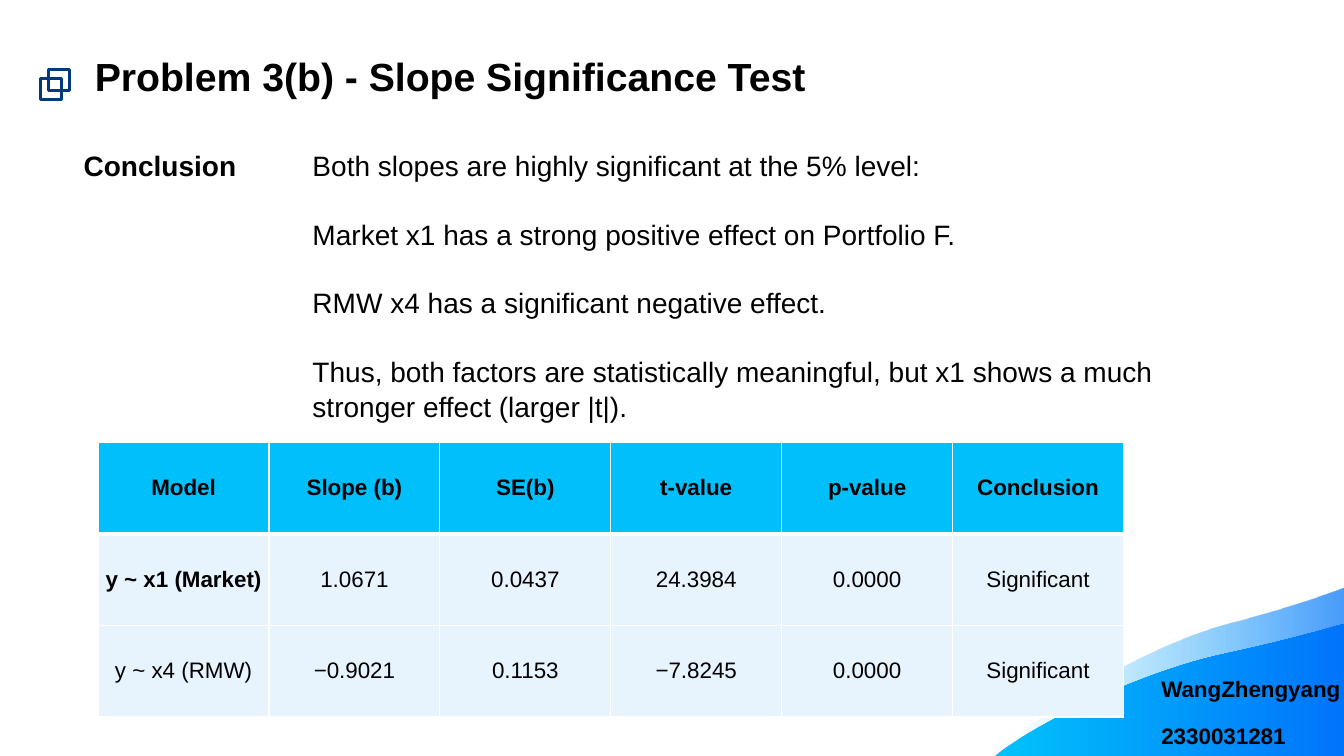
from dataclasses import dataclass

from lxml.etree import SubElement
from pptx import Presentation
from pptx.dml.color import RGBColor
from pptx.enum.shapes import MSO_SHAPE
from pptx.enum.text import MSO_ANCHOR, MSO_AUTO_SIZE, PP_ALIGN
from pptx.oxml.ns import qn
from pptx.util import Inches, Pt


@dataclass(frozen=True)
class Theme:
    font: str = "Arial"
    ink: str = "000000"
    white: str = "FFFFFF"
    navy: str = "003A7E"
    cyan: str = "01BFFB"
    blue: str = "0174FB"
    pale: str = "E7F4FE"
    head: int = 28
    body: int = 20
    small: int = 16


def curve(start, *arcs, steps=24):
    """Return points along joined cubic arcs, each given as three points."""
    points = [start]
    for b, c, d in arcs:
        a = points[-1]
        for n in range(1, steps + 1):
            t = n / steps
            u = 1 - t
            points.append(tuple(
                u**3 * p + 3 * u * u * t * q + 3 * u * t * t * r + t**3 * s
                for p, q, r, s in zip(a, b, c, d)))
    return points


class Page:
    """Draws on one slide; lengths are percent of its width and height."""

    def __init__(self, deck, theme):
        self.theme = theme
        self.wide, self.high = deck.slide_width, deck.slide_height
        self.slide = deck.slides.add_slide(deck.slide_layouts[1])
        self.shapes = self.slide.shapes

    def box(self, x, y, w, h):
        return (round(x * self.wide / 100), round(y * self.high / 100),
                round(w * self.wide / 100), round(h * self.high / 100))

    def add_run(self, para, text, size, bold=False):
        run = para.add_run()
        run.text = text
        font = run.font
        font.name, font.size, font.bold = self.theme.font, Pt(size), bold
        font.color.rgb = RGBColor.from_string(self.theme.ink)

    def fill(self, frame, lines, size, bold=False, gap=0, lead=1.0):
        frame.word_wrap = True
        frame.auto_size = MSO_AUTO_SIZE.NONE
        for i, line in enumerate(lines):
            para = frame.add_paragraph() if i else frame.paragraphs[0]
            para.alignment = PP_ALIGN.LEFT
            para.line_spacing = lead
            para.space_before = Pt(gap if i else 0)
            self.add_run(para, line, size, bold)

    def place(self, holder, area):
        holder.left, holder.top, holder.width, holder.height = self.box(*area)

    def title(self, text, area):
        holder = self.shapes.title
        self.place(holder, area)
        self.fill(holder.text_frame, [text], self.theme.head, bold=True)
        holder.text_frame.vertical_anchor = MSO_ANCHOR.BOTTOM

    def list(self, lines, area):
        holder = self.slide.placeholders[1]
        self.place(holder, area)
        frame = holder.text_frame
        self.fill(frame, lines, self.theme.body, gap=24, lead=1.04)
        for para in frame.paragraphs:
            props = para._p.get_or_add_pPr()
            props.set("marL", "0")
            props.set("indent", "0")
            SubElement(props, qn("a:buNone"))

    def text(self, lines, area, size, **look):
        frame = self.shapes.add_textbox(*self.box(*area)).text_frame
        self.fill(frame, lines, size, bold=True, **look)

    def square(self, x, y, side):
        left, top, _, _ = self.box(x, y, 0, 0)
        shape = self.shapes.add_shape(
            MSO_SHAPE.RECTANGLE, left, top, Inches(side), Inches(side))
        shape.shadow.inherit = False
        shape.fill.background()
        shape.line.color.rgb = RGBColor.from_string(self.theme.navy)
        shape.line.width = Pt(2.25)

    def wave(self, points, alphas):
        """Fill the area between a curve and the lower right corner."""
        dots = [self.box(x, y, 0, 0)[:2] for x, y in points]
        outline = self.shapes.build_freeform(self.wide, self.high)
        outline.add_line_segments(dots, close=True)
        shape = outline.convert_to_shape()
        shape.shadow.inherit = False
        shape.line.fill.background()
        shape.fill.gradient()
        shape.fill.gradient_angle = 0
        tones = (self.theme.cyan, self.theme.blue)
        for stop, tone, spot in zip(
                shape.fill.gradient_stops, tones, (0.04, 1)):
            stop.position = spot
            stop.color.rgb = RGBColor.from_string(tone)
        for node, alpha in zip(shape._element.iter(qn("a:srgbClr")), alphas):
            if alpha < 100:
                SubElement(node, qn("a:alpha"), val=str(alpha * 1000))

    def edge(self, cell, widths):
        props = cell._tc.get_or_add_tcPr()
        for side, width in zip("LRTB", widths):
            line = SubElement(props, qn(f"a:ln{side}"), w=str(Pt(width)))
            paint = SubElement(line, qn("a:solidFill"))
            SubElement(paint, qn("a:srgbClr"), val=self.theme.white)

    def table(self, rows, area, strong):
        """Draw rows under a header; strong holds bold (row, column) pairs."""
        table = self.shapes.add_table(
            len(rows), len(rows[0]), *self.box(*area)).table
        for r, row in enumerate(rows):
            for c, text in enumerate(row):
                cell = table.cell(r, c)
                self.edge(cell, (1, 1, 3 if r == 1 else 1, 1 if r else 3))
                cell.fill.solid()
                tone = self.theme.pale if r else self.theme.cyan
                cell.fill.fore_color.rgb = RGBColor.from_string(tone)
                cell.vertical_anchor = MSO_ANCHOR.MIDDLE
                cell.margin_left = cell.margin_right = 0
                cell.margin_top = cell.margin_bottom = 0
                para = cell.text_frame.paragraphs[0]
                para.alignment = PP_ALIGN.CENTER
                bold = r == 0 or (r, c) in strong
                self.add_run(para, text, self.theme.small, bold)


def main():
    deck = Presentation()
    deck.slide_width, deck.slide_height = Inches(13.33), Inches(7.5)
    theme = Theme()
    page = Page(deck, theme)

    page.wave(curve((100, 77.73),
                    ((97.67, 79.33), (94.82, 80.93), (91.37, 82.53)),
                    ((84.17, 86), (75.99, 96.13), (74.04, 100))), (0, 72))
    page.wave(curve((100, 82.53),
                    ((97.67, 83.73), (94.82, 85.07), (91.37, 86.4)),
                    ((84.17, 89.07), (75.99, 96.93), (74.04, 100))), (100, 100))
    for x, y in ((3, 10.4), (3.6, 9.2)):
        page.square(x, y, 0.21)

    page.title("Problem 3(b) - Slope Significance Test", (6.3, 6.27, 89.1, 7.6))
    page.text(["Conclusion"], (5.48, 18.8, 16, 5.87), theme.body, lead=1.04)
    page.list([
        "Both slopes are highly significant at the 5% level:",
        "Market x1 has a strong positive effect on Portfolio F.",
        "RMW x4 has a significant negative effect.",
        "Thus, both factors are statistically meaningful, but x1 shows a much "
        "stronger effect (larger |t|).",
    ], (22.5, 18.8, 68.7, 39.2))
    page.table([
        ("Model", "Slope (b)", "SE(b)", "t-value", "p-value", "Conclusion"),
        ("y ~ x1 (Market)", "1.0671", "0.0437", "24.3984", "0.0000",
         "Significant"),
        ("y ~ x4 (RMW)", "−0.9021", "0.1153", "−7.8245", "0.0000",
         "Significant"),
    ], (7.3, 58.53, 76.3, 36.3), strong={(1, 0)})
    page.text(["WangZhengyang", "2330031281"], (85.67, 88, 15.38, 12),
              theme.small, gap=10, lead=1.2)
    deck.save("out.pptx")


if __name__ == "__main__":
    main()
